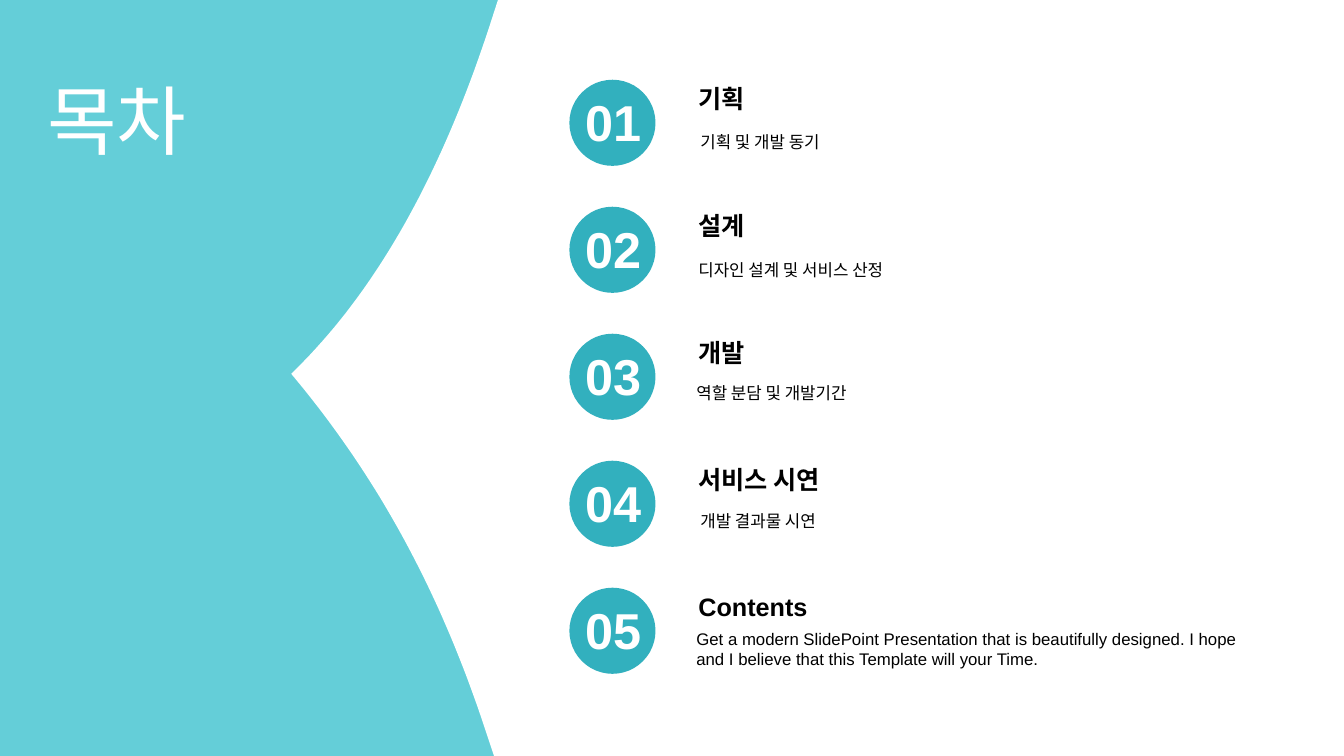
from pptx import Presentation
from pptx.dml.color import RGBColor as Rgb
from pptx.enum.shapes import MSO_SHAPE as Kind
from pptx.enum.text import MSO_ANCHOR as Anchor, PP_ALIGN as Align
from pptx.util import Cm, Pt

HUES = {"sky": "64CED8", "teal": "32B0BE", "white": "FFFFFF", "black": "000000"}
FONT = "Arial"
WIDE, HIGH = 33.87, 19.05
PITCH = 3.2

# number, title, note, note offset across and down, note height
ROWS = [
    ("01", "기획", "기획 및 개발 동기", 3.28, 1.22, 0.76),
    ("02", "설계", "디자인 설계 및 서비스 산정", 3.23, 1.24, 0.76),
    ("03", "개발", "역할 분담 및 개발기간", 3.18, 1.14, 0.76),
    ("04", "서비스 시연", "개발 결과물 시연", 3.28, 1.17, 0.76),
    ("05", "Contents",
     "Get a modern SlidePoint Presentation that is beautifully designed. "
     "I hope and I believe that this Template will your Time.",
     3.18, 0.94, 1.27),
]

# Bézier curves of the panel edge, running up the slide
LOWER = [(12.29, 18.57), (11.15, 15.04), (9.58, 12.09), (7.34, 9.42)]
UPPER = [(7.34, 9.42), (9.5, 7.34), (11.12, 4.37), (12.32, 0.71)]


def paint(shape, hue):
    shape.shadow.inherit = False
    shape.fill.solid()
    shape.fill.fore_color.rgb = Rgb.from_string(HUES[hue])
    shape.line.fill.background()


def add_text(shapes, box, text, size, hue, bold=False, pad=0.25,
             align=Align.LEFT, anchor=Anchor.TOP):
    frame = shapes.add_textbox(*map(Cm, box)).text_frame
    frame.word_wrap = True
    frame.vertical_anchor = anchor
    frame.margin_left = frame.margin_right = Cm(pad)
    frame.text = text
    line = frame.paragraphs[0]
    line.alignment = align
    font = line.runs[0].font
    font.name, font.size, font.bold = FONT, Pt(size), bold
    font.color.rgb = Rgb.from_string(HUES[hue])


def trace(curve, steps=40):
    """Return points along a cubic Bézier curve."""
    points = []
    for step in range(steps + 1):
        t = step / steps
        parts = ((1 - t) ** 3, 3 * t * (1 - t) ** 2, 3 * t * t * (1 - t), t ** 3)
        points.append(tuple(sum(w * p[axis] for w, p in zip(parts, curve))
                            for axis in (0, 1)))
    return points


def add_panel(shapes, wide, high):
    edge = [(wide, 0), (wide, high), (12.45, high)] + trace(LOWER) + trace(UPPER)[1:]
    pen = shapes.build_freeform(Cm(12.55), 0)
    pen.add_line_segments([(Cm(x), Cm(y)) for x, y in edge], close=True)
    paint(pen.convert_to_shape(), "white")


def add_row(shapes, left, top, row):
    number, title, note, across, down, tall = row
    parts = shapes.add_group_shape().shapes
    add_text(parts, (left + across, top + down, 14.22, tall), note, 12, "black")
    add_text(parts, (left + 3.18, top, 14.22, 1.02), title, 18, "black",
             bold=True, pad=0.3)
    disc = parts.add_shape(Kind.OVAL, Cm(left + 0.23), Cm(top + 0.03),
                           Cm(2.17), Cm(2.17))
    paint(disc, "teal")
    add_text(parts, (left, top + 0.2, 2.67, 1.8), number, 36, "white",
             bold=True, pad=0.3, align=Align.CENTER)


def add_agenda(deck):
    slide = deck.slides.add_slide(deck.slide_layouts[6])
    back = slide.background.fill
    back.solid()
    back.fore_color.rgb = Rgb.from_string(HUES["sky"])
    add_panel(slide.shapes, WIDE, HIGH)
    add_text(slide.shapes, (0.94, 1.73, 9.7, 2.57), "목차", 54, "white",
             anchor=Anchor.MIDDLE)
    for index, row in enumerate(ROWS):
        add_row(slide.shapes, 14.12, 1.98 + index * PITCH, row)


def main():
    deck = Presentation()
    deck.slide_width, deck.slide_height = Cm(WIDE), Cm(HIGH)
    add_agenda(deck)
    deck.save("out.pptx")


if __name__ == "__main__":
    main()
